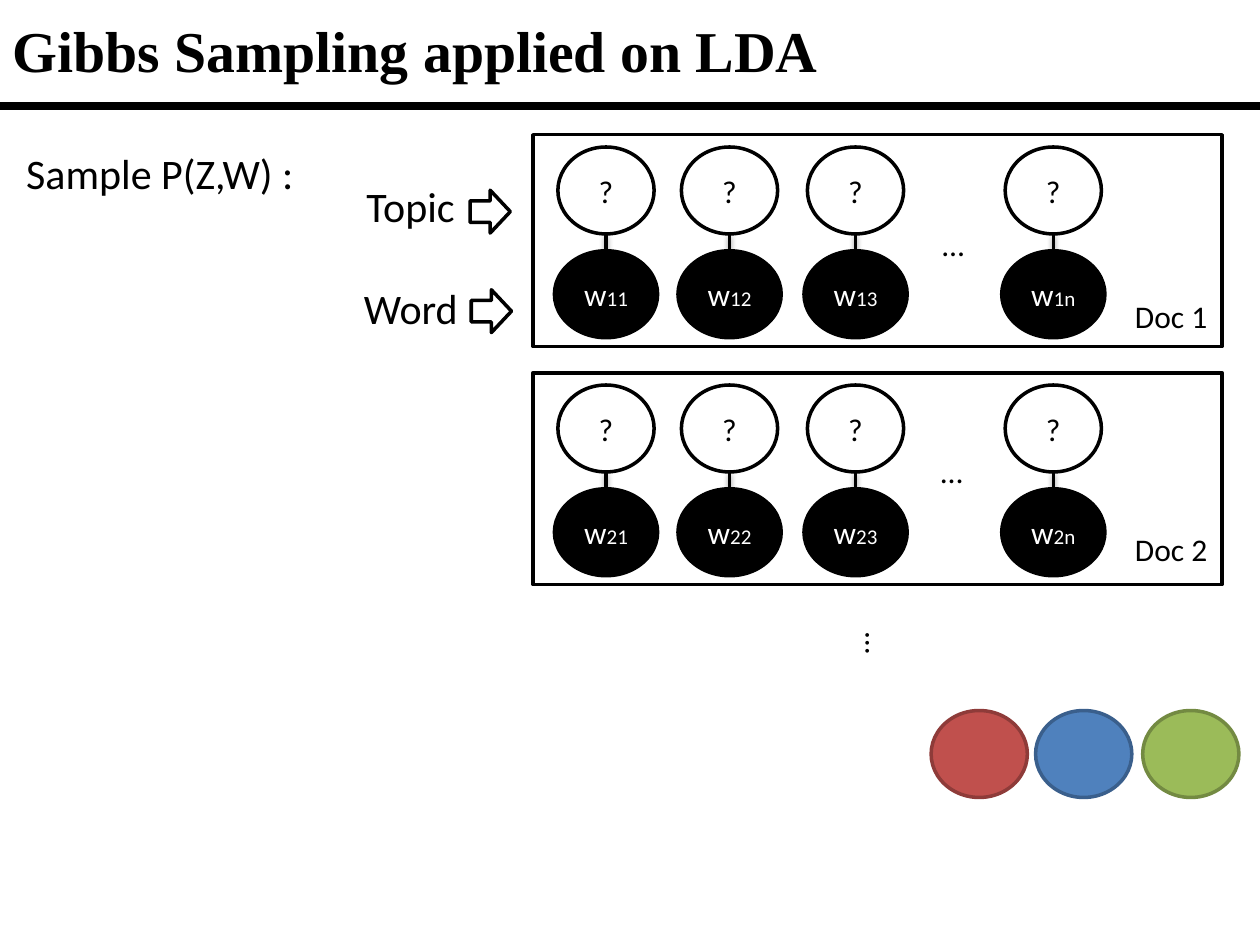
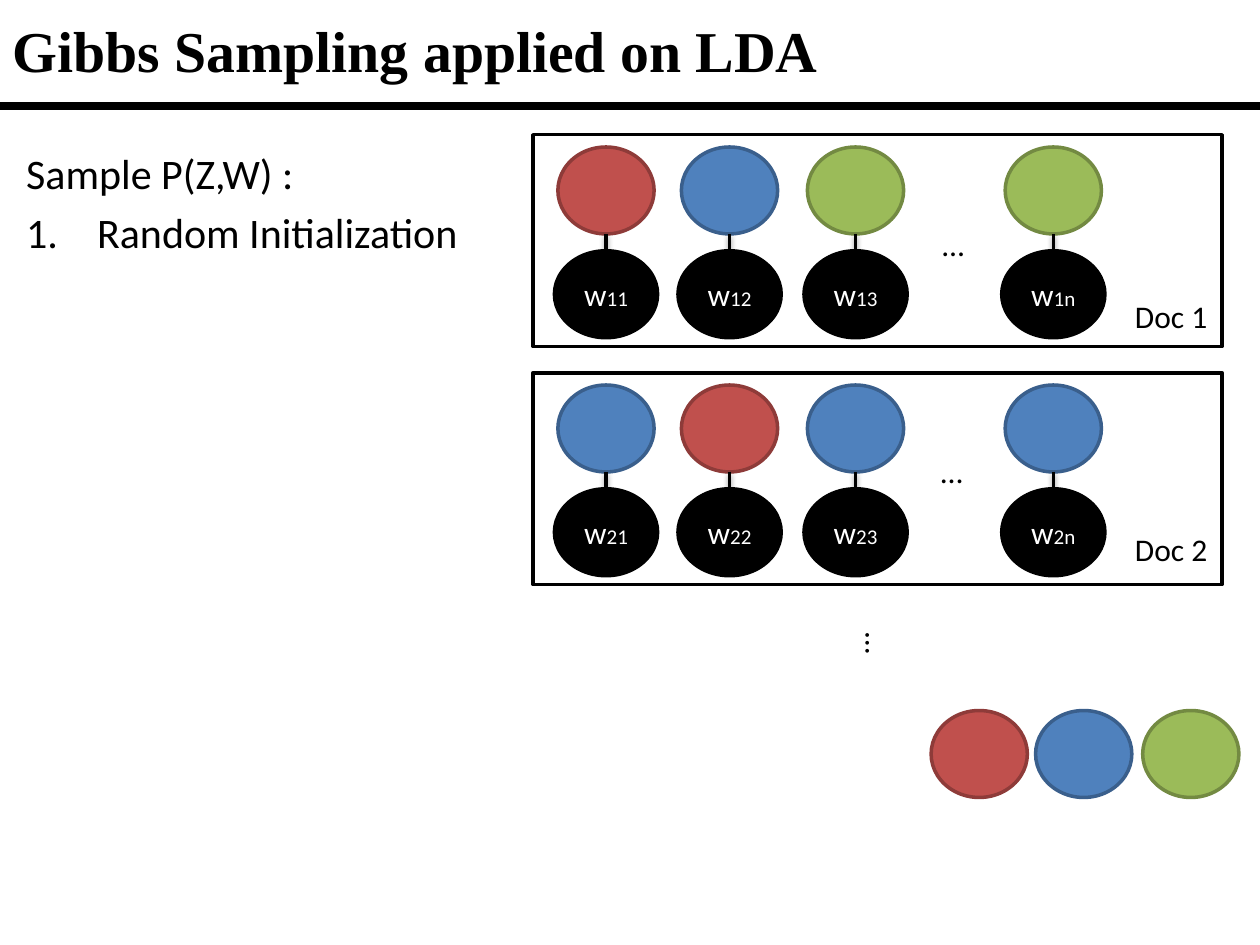
from lxml.etree import SubElement
from pptx import Presentation
from pptx.dml.color import RGBColor
from pptx.enum.shapes import MSO_CONNECTOR as Connector, MSO_SHAPE as Shape
from pptx.enum.text import MSO_ANCHOR as Anchor, MSO_AUTO_SIZE as AutoSize, PP_ALIGN as Align
from pptx.oxml.ns import qn
from pptx.util import Pt

BLACK = RGBColor(0x00, 0x00, 0x00)
WHITE = RGBColor(0xFF, 0xFF, 0xFF)
RED, DARK_RED = RGBColor(0xC0, 0x50, 0x4D), RGBColor(0x8E, 0x3B, 0x39)
BLUE, DARK_BLUE = RGBColor(0x4F, 0x81, 0xBD), RGBColor(0x3A, 0x5F, 0x8C)
GREEN, DARK_GREEN = RGBColor(0x9B, 0xBB, 0x59), RGBColor(0x73, 0x8A, 0x42)

TITLE = "Gibbs Sampling applied on LDA"
TITLE_FONT, BODY_FONT = "Times New Roman", "Calibri"

# Fill, outline and label of a topic node
UNKNOWN = (WHITE, BLACK, "?")
TOPIC_RED = (RED, DARK_RED, "")
TOPIC_BLUE = (BLUE, DARK_BLUE, "")
TOPIC_GREEN = (GREEN, DARK_GREEN, "")

SLIDE_WIDTH, SLIDE_HEIGHT = 720, 540
TOPIC_WIDTH, WORD_WIDTH, NODE_HEIGHT = 55, 59, 49.7
# Centre and index of each word in a document
COLUMNS = [(346.3, "1"), (416.9, "2"), (488.9, "3"), (601.9, "n")]
# Top of the frame, position of the ellipsis, top of the label
DOCUMENTS = [(77, 531.4, 125.3, 166.3), (213, 530.6, 254.9, 299.5)]
LEGEND = [(532.1, TOPIC_RED), (591.8, TOPIC_BLUE), (653, TOPIC_GREEN)]

# Topics of both documents, steps, and whether the rows are labelled
SLIDES = [
    ([[UNKNOWN] * 4] * 2, [], True),
    (
        [
            [TOPIC_RED, TOPIC_BLUE, TOPIC_GREEN, TOPIC_GREEN],
            [TOPIC_BLUE, TOPIC_RED, TOPIC_BLUE, TOPIC_BLUE],
        ],
        ["Random Initialization"],
        False,
    ),
]


def add_text(page, text, left, top, width, height, size=18):
    box = page.shapes.add_textbox(Pt(left), Pt(top), Pt(width), Pt(height))
    frame = box.text_frame
    frame.word_wrap = True
    frame.auto_size = AutoSize.SHAPE_TO_FIT_TEXT
    frame.text = text
    for para in frame.paragraphs:
        para.font.name = BODY_FONT
        para.font.size = Pt(size)
        para.font.color.rgb = BLACK
    return box


def add_figure(page, kind, left, top, width, height, fill=WHITE, line=BLACK,
               label="", index="", color=BLACK):
    """Add an outlined shape with a centred label and a smaller index."""
    figure = page.shapes.add_shape(kind, Pt(left), Pt(top), Pt(width), Pt(height))
    figure.shadow.inherit = False
    figure.fill.solid()
    figure.fill.fore_color.rgb = fill
    figure.line.color.rgb = line
    figure.line.width = Pt(2)
    figure.text_frame.vertical_anchor = Anchor.MIDDLE
    para = figure.text_frame.paragraphs[0]
    para.alignment = Align.CENTER
    for text, size in [(label, 18), (index, 12)]:
        if text:
            span = para.add_run()
            span.text = text
            span.font.name = BODY_FONT
            span.font.size = Pt(size)
            span.font.color.rgb = color


deck = Presentation()
deck.slide_width, deck.slide_height = Pt(SLIDE_WIDTH), Pt(SLIDE_HEIGHT)

for document_topics, steps, has_row_labels in SLIDES:
    page = deck.slides.add_slide(deck.slide_layouts[5])

    title = page.shapes.title
    title.left, title.top = Pt(0), Pt(0)
    title.width, title.height = Pt(SLIDE_WIDTH), Pt(57)
    title.text_frame.text = TITLE
    title.text_frame.auto_size = AutoSize.NONE
    title.text_frame.vertical_anchor = Anchor.MIDDLE
    para = title.text_frame.paragraphs[0]
    para.alignment = Align.LEFT
    para.font.name = TITLE_FONT
    para.font.size = Pt(33)
    para.font.bold = True
    para.font.color.rgb = BLACK

    more_documents = add_text(page, "…", 481.7, 360, 40, 29)
    more_documents.rotation = 90

    # Documents: a topic node linked to each word node
    for number, (document, topics) in enumerate(zip(DOCUMENTS, document_topics), 1):
        top, dots_left, dots_top, label_top = document
        topic_top, word_top = top + 7, top + 66.3
        add_figure(page, Shape.RECTANGLE, 304.6, top, 393.8, 121)
        for (center, index), (fill, line, mark) in zip(COLUMNS, topics):
            add_figure(page, Shape.OVAL, center - WORD_WIDTH / 2, word_top,
                       WORD_WIDTH, NODE_HEIGHT, BLACK, BLACK, "w", f"{number}{index}", WHITE)
            add_figure(page, Shape.OVAL, center - TOPIC_WIDTH / 2, topic_top,
                       TOPIC_WIDTH, NODE_HEIGHT, fill, line, mark)
            link = page.shapes.add_connector(
                Connector.STRAIGHT, Pt(center), Pt(topic_top + NODE_HEIGHT), Pt(center), Pt(word_top))
            link.line.color.rgb = BLACK
            link.line.width = Pt(2)
        add_text(page, "…", dots_left, dots_top, 40, 29)
        add_text(page, f"Doc {number}", 641.5, label_top, 67, 29)

    for left, (fill, line, mark) in LEGEND:
        add_figure(page, Shape.OVAL, left, 406, TOPIC_WIDTH, NODE_HEIGHT, fill, line, mark)

    # Sampling steps, numbered below the heading
    heading = "Sample P(Z,W) :"
    box = add_text(page, "\n".join([heading, *steps]), 7.9, 80.6, 275.8, 57 + 28 * len(steps), 24)
    for para in box.text_frame.paragraphs[1:]:
        para.space_before = Pt(5)
        properties = para._p.get_or_add_pPr()
        properties.set("marL", str(Pt(40.5)))
        properties.set("indent", str(-Pt(40.5)))
        numbering = SubElement(properties, qn("a:buAutoNum"), type="arabicPeriod")
        # Numbering precedes the default run properties
        defaults = properties.find(qn("a:defRPr"))
        if defaults is not None:
            defaults.addprevious(numbering)

    if has_row_labels:
        for label, left, top, arrow_left, arrow_top in [
            ("Topic", 202.3, 99.4, 268.6, 108.7),
            ("Word", 200.9, 157.7, 269.3, 165.6),
        ]:
            add_figure(page, Shape.RIGHT_ARROW, arrow_left, arrow_top, 23, 24.5)
            add_text(page, label, left, top, 87, 36, 24)

    rule = page.shapes.add_connector(Connector.STRAIGHT, Pt(0), Pt(60.5), Pt(SLIDE_WIDTH), Pt(60.5))
    rule.line.color.rgb = BLACK
    rule.line.width = Pt(4.5)
    SubElement(rule._element.spPr, qn("a:effectLst"))

deck.save("out.pptx")
